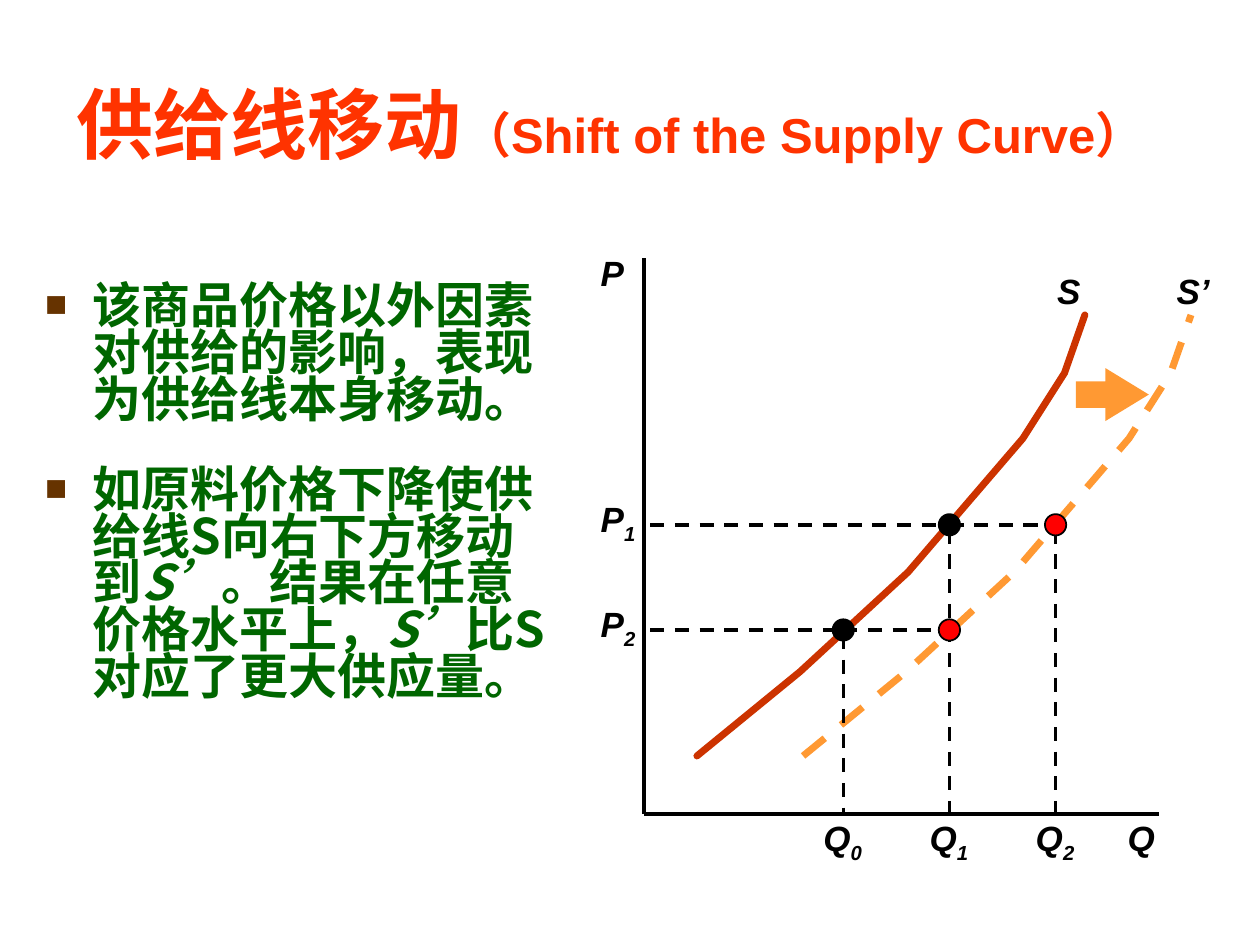
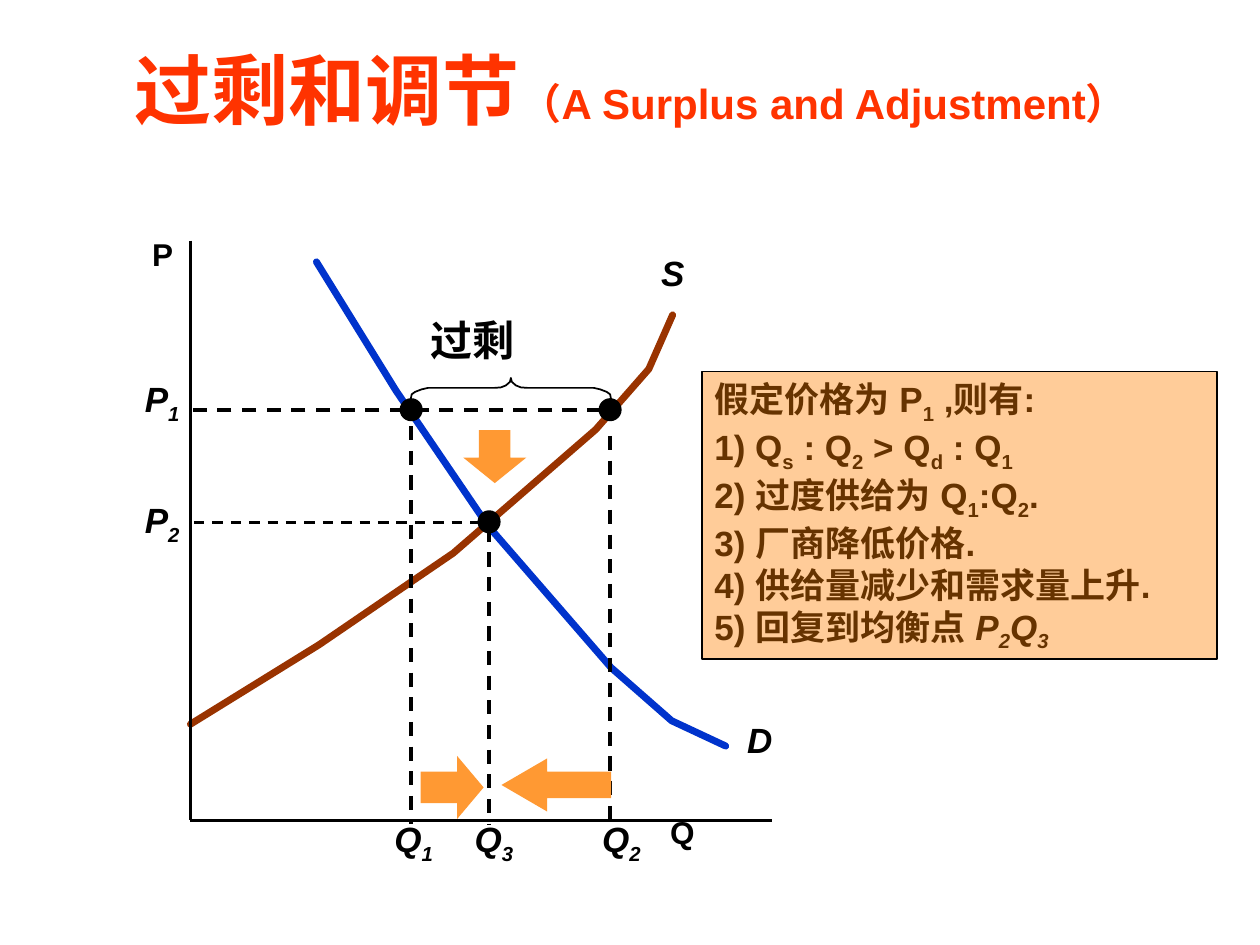
from lxml.etree import SubElement
from pptx import Presentation
from pptx.dml.color import RGBColor
from pptx.enum.dml import MSO_LINE
from pptx.enum.shapes import MSO_CONNECTOR, MSO_SHAPE
from pptx.enum.text import MSO_ANCHOR, PP_ALIGN
from pptx.oxml.ns import qn
from pptx.util import Cm, Pt

# Shared colours and fonts
BLACK = RGBColor(0x00, 0x00, 0x00)
RED = RGBColor(0xFF, 0x00, 0x00)
TITLE_RED = RGBColor(0xFF, 0x33, 0x00)
BODY_GREEN = RGBColor(0x00, 0x66, 0x00)
BROWN = RGBColor(0x66, 0x33, 0x00)
ORANGE = RGBColor(0xFF, 0x99, 0x33)
PEACH = RGBColor(0xFF, 0xCC, 0x99)
SUPPLY_RED = RGBColor(0xCC, 0x33, 0x00)
SUPPLY_BROWN = RGBColor(0x99, 0x33, 0x00)
DEMAND_BLUE = RGBColor(0x00, 0x33, 0xCC)
LATIN_FONT = "Arial"
CHINESE_FONT = "Noto Sans CJK SC"
DOT_SIZE = 0.43


# Text
def add_span(para, text, size, color, font=LATIN_FONT, italic=False, subscript=False):
    span = para.add_run()
    span.text = text
    span.font.size = Pt(size)
    span.font.bold = True
    span.font.italic = italic
    span.font.color.rgb = color
    span.font.name = font
    properties = span._r.get_or_add_rPr()
    properties.set("lang", "zh-CN")
    if subscript:
        properties.set("baseline", "-25000")
    SubElement(properties, qn("a:ea")).set("typeface", font)


def add_subscripted(para, parts, size, color, italic=False):
    """Write parts that alternate between normal text and subscripts."""
    for index, text in enumerate(parts):
        add_span(para, text, size, color, italic=italic, subscript=index % 2 == 1)


def add_text_box(slide, left, top, width, height):
    box = slide.shapes.add_textbox(Cm(left), Cm(top), Cm(width), Cm(height))
    box.text_frame.word_wrap = True
    return box.text_frame


def add_title(slide, chinese, english, english_size, left, top, width, height):
    frame = add_text_box(slide, left, top, width, height)
    frame.vertical_anchor = MSO_ANCHOR.BOTTOM
    add_span(frame.paragraphs[0], chinese, 44, TITLE_RED)
    add_span(frame.paragraphs[0], english, english_size, TITLE_RED)


def add_label(slide, parts, left, top, width, height=1.09, size=20, italic=True):
    frame = add_text_box(slide, left, top, width, height)
    frame.margin_right = 0  # spare room keeps the label on one line
    add_subscripted(frame.paragraphs[0], parts, size, BLACK, italic)


def next_paragraph(frame, index):
    return frame.add_paragraph() if index else frame.paragraphs[0]


def add_square_bullet(para):
    properties = para._p.get_or_add_pPr()
    properties.set("marL", str(Cm(0.96)))
    properties.set("indent", str(Cm(-0.96)))
    properties.set("hangingPunct", "0")
    color = SubElement(properties, qn("a:buClr"))
    SubElement(color, qn("a:srgbClr")).set("val", str(BROWN))
    SubElement(properties, qn("a:buSzPct")).set("val", "75000")
    SubElement(properties, qn("a:buFont")).set("typeface", LATIN_FONT)
    SubElement(properties, qn("a:buChar")).set("char", "■")


def add_bullets(slide, bullets, left, top, width, height):
    """Each bullet alternates between upright and italic text."""
    frame = add_text_box(slide, left, top, width, height)
    for index, parts in enumerate(bullets):
        para = next_paragraph(frame, index)
        para.line_spacing = Pt(26.75)
        para.space_before = Pt(24.5)
        add_square_bullet(para)
        for position, text in enumerate(parts):
            add_span(para, text, 28, BODY_GREEN, CHINESE_FONT, italic=position % 2 == 1)


def add_callout(slide, lines, equilibrium, left, top, width, height):
    box = add_block(slide, MSO_SHAPE.RECTANGLE, left, top, width, height, PEACH, BLACK)
    frame = box.text_frame
    frame.word_wrap = True
    frame.vertical_anchor = MSO_ANCHOR.TOP
    for index, parts in enumerate(lines):
        para = next_paragraph(frame, index)
        para.alignment = PP_ALIGN.LEFT
        add_subscripted(para, parts, 20, BROWN)
    add_subscripted(para, equilibrium, 20, BROWN, italic=True)


# Shapes and lines
def add_block(slide, preset, left, top, width, height, fill, outline=None):
    block = slide.shapes.add_shape(preset, Cm(left), Cm(top), Cm(width), Cm(height))
    block.shadow.inherit = False
    block.fill.solid()
    block.fill.fore_color.rgb = fill
    if outline is None:
        block.line.fill.background()
    else:
        block.line.color.rgb = outline
        block.line.width = Pt(1)
    return block


def add_arrow(slide, preset, left, top, width, height, head):
    arrow = add_block(slide, preset, left, top, width, height, ORANGE)
    arrow.adjustments[0] = 0.5
    arrow.adjustments[1] = head


def add_dot(slide, x, y, fill=BLACK):
    corner = DOT_SIZE / 2
    add_block(slide, MSO_SHAPE.OVAL, x - corner, y - corner, DOT_SIZE, DOT_SIZE, fill, BLACK)


def add_line(slide, start, end, dashed=True, weight=2):
    line = slide.shapes.add_connector(
        MSO_CONNECTOR.STRAIGHT, *(Cm(value) for value in (*start, *end)))
    SubElement(line._element.spPr, qn("a:effectLst"))
    line.line.color.rgb = BLACK
    line.line.width = Pt(weight)
    if dashed:
        line.line.dash_style = MSO_LINE.DASH


def add_axes(slide, x, top, y, right):
    add_line(slide, (x, top), (x, y), dashed=False)
    add_line(slide, (x, y), (right, y), dashed=False)


def add_curve(slide, points, color, weight=4, dashed=False):
    points = [(Cm(x), Cm(y)) for x, y in points]
    builder = slide.shapes.build_freeform(*points[0])
    builder.add_line_segments(points[1:], close=False)
    curve = builder.convert_to_shape()
    curve.shadow.inherit = False
    curve.fill.background()
    curve.line.color.rgb = color
    curve.line.width = Pt(weight)
    if dashed:
        curve.line.dash_style = MSO_LINE.DASH
    else:
        curve.line._get_or_add_ln().set("cap", "rnd")


def add_brace(slide, center):
    right_half = [(2.02, 8.05), (2, 7.95), (1.93, 7.9), (1.8, 7.85), (1.67, 7.82),
                  (0.33, 7.82), (0.2, 7.81), (0.1, 7.77), (0.02, 7.7), (0, 7.62)]
    right = [(center + offset, y) for offset, y in right_half]
    left = [(center - offset, y) for offset, y in reversed(right_half)]
    add_curve(slide, right + left[1:], BLACK, weight=1)


# Slide 1
def build_supply_shift(slide):
    add_title(slide, "供给线移动", "（Shift of the Supply Curve）", 28, 1.3, 1.57, 22.33, 1.96)
    add_bullets(slide, [
        ["该商品价格以外因素对供给的影响，表现为供给线本身移动。"],
        ["如原料价格下降使供给线S向右下方移动到", "S’", "。结果在任意价格水平上，",
         "S’", "比S对应了更大供应量。"],
    ], 0.66, 5.66, 10.69, 9.91)

    axis_x, axis_y, shift = 12.98, 16.41, 2.14
    quantities = [17 + shift * index for index in range(3)]
    prices = [10.58, 12.7]
    supply = [(14.05, 15.24), (16.13, 13.54), (18.31, 11.53),
              (20.62, 8.84), (21.46, 7.52), (21.87, 6.35)]

    # Axes and curves
    add_axes(slide, axis_x, 5.21, axis_y, 23.37)
    add_curve(slide, supply, SUPPLY_RED)
    add_curve(slide, [(x + shift, y) for x, y in supply], ORANGE, dashed=True)
    add_label(slide, ["P"], 11.86, 4.95, 0.97)
    add_label(slide, ["Q"], 22.48, 16.33, 1.04)
    add_label(slide, ["S"], 21.06, 5.31, 0.97)
    add_label(slide, ["S’"], 23.47, 5.31, 1.17)

    # Guides, labels and points
    for index, x in enumerate(quantities):
        top = prices[1] if index == 0 else prices[0]
        add_line(slide, (x, top + 0.1), (x, axis_y))
        add_label(slide, ["Q", str(index)], x - 0.65, 16.33, 1.27, 1.22)
    for index, y in enumerate(prices):
        before, after = quantities[1 - index], quantities[2 - index]
        add_line(slide, (13.11, y), (before, y))
        add_line(slide, (before, y), (after, y))
        add_label(slide, ["P", str(index + 1)], 11.86, y - 0.67, 1.19, 1.22)
        add_dot(slide, before, y)
        add_dot(slide, after, y, RED)
    add_arrow(slide, MSO_SHAPE.RIGHT_ARROW, 21.69, 7.42, 1.47, 1.07, 0.82)


# Slide 2
def build_surplus(slide):
    add_title(slide, "过剩和调节", "（A Surplus and Adjustment）", 24, 2.46, 0.69, 22.17, 2.16)
    add_callout(slide, [
        ["假定价格为 P", "1", " ,则有:"],
        ["1) Q", "s", " : Q", "2", " > Q", "d", " : Q", "1"],
        ["2) 过度供给为 Q", "1", ":Q", "2", "."],
        ["3) 厂商降低价格."],
        ["4) 供给量减少和需求量上升."],
        ["5) 回复到均衡点 "],
    ], ["P", "2", "Q", "3"], 14.15, 7.49, 10.39, 5.79)

    axis_x, axis_y = 3.84, 16.54
    surplus_price, balance_price = 8.26, 10.52
    demanded, balance, supplied = 8.29, 9.86, 12.3

    # Curves and axes
    add_curve(slide, [(6.38, 5.28), (7.98, 7.87), (9.83, 10.59),
                      (12.32, 13.46), (13.54, 14.53), (14.63, 15.04)], DEMAND_BLUE)
    add_curve(slide, [(3.84, 14.6), (6.43, 13), (9.14, 11.15),
                      (12.01, 8.66), (13.08, 7.44), (13.56, 6.35)], SUPPLY_BROWN)
    add_axes(slide, axis_x, 4.85, axis_y, 15.57)
    add_label(slide, ["D"], 14.81, 14.35, 1.02)
    add_label(slide, ["S"], 13.08, 4.95, 0.97)
    add_label(slide, ["Q"], 13.26, 16.26, 0.99, 1.02, size=18, italic=False)
    add_label(slide, ["P"], 2.82, 4.62, 0.94, 1.02, size=18, italic=False)

    # Surplus brace
    add_brace(slide, 10.3)
    add_label(slide, ["过剩"], 8.43, 6.22, 2.18, 1.27, size=24, italic=False)

    # Guides and adjustment arrows
    add_line(slide, (supplied - 0.18, surplus_price), (axis_x - 0.11, surplus_price))
    add_line(slide, (axis_x + 0.07, balance_price + 0.02),
             (balance, balance_price + 0.02), weight=1.5)
    add_line(slide, (demanded, 8.59), (demanded, 16.61))
    add_line(slide, (supplied, 8.79), (supplied, 16.61))
    add_arrow(slide, MSO_SHAPE.DOWN_ARROW, 9.34, 8.67, 1.27, 1.07, 0.48)
    add_arrow(slide, MSO_SHAPE.RIGHT_ARROW, 8.48, 15.24, 1.27, 1.27, 0.42)
    add_arrow(slide, MSO_SHAPE.LEFT_ARROW, 10.11, 15.29, 2.21, 1.07, 0.86)
    add_line(slide, (balance, 10.64), (balance, 16.61))

    # Points and labels
    for x, y in [(demanded, surplus_price), (supplied, surplus_price), (balance, balance_price)]:
        add_dot(slide, x, y)
    for number, top in [("1", 7.49), ("2", 9.93)]:
        add_label(slide, ["P", number], 2.67, top, 1.19, 1.22)
    for number, left in [("1", 7.7), ("2", 11.89), ("3", 9.32)]:
        add_label(slide, ["Q", number], left, 16.36, 1.27, 1.22)


def main():
    deck = Presentation()
    deck.slide_width, deck.slide_height = Cm(25.4), Cm(19.05)
    for build in (build_supply_shift, build_surplus):
        build(deck.slides.add_slide(deck.slide_layouts[6]))
    deck.save("out.pptx")


if __name__ == "__main__":
    main()
